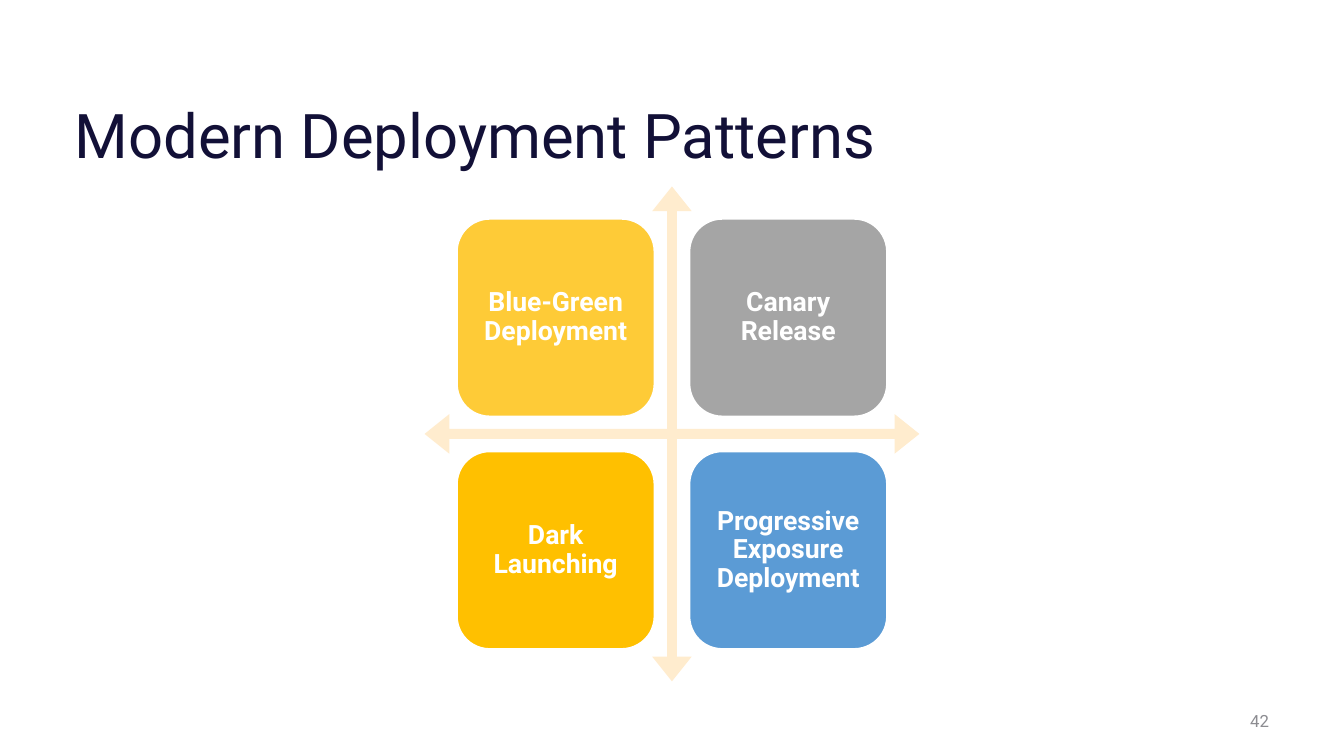
from pptx import Presentation
from pptx import util as u
from pptx.dml.color import RGBColor
from pptx.enum import shapes, text

COLORS = {
    "title": "121037", "number": "8C8C91", "arrows": "FFECCE", "white": "FFFFFF",
    "amber": "FECB37", "grey": "A5A5A5", "gold": "FFC000", "blue": "5B9BD5",
}
PATTERNS = [
    ("Blue-Green Deployment", "amber"), ("Canary Release", "grey"),
    ("Dark Launching", "gold"), ("Progressive Exposure Deployment", "blue"),
]


def write(sp, content, size, color, bold=False, align=text.PP_ALIGN.LEFT,
          spacing=None, inset=None):
    """Write formatted, vertically centred text into a shape."""
    tf = sp.text_frame
    tf.word_wrap = True
    tf.vertical_anchor = text.MSO_ANCHOR.MIDDLE
    if inset is not None:
        tf.margin_left = tf.margin_right = tf.margin_top = tf.margin_bottom = u.Cm(inset)
    p = tf.paragraphs[0]
    p.alignment = align
    p.line_spacing = spacing
    r = p.add_run()
    r.text = content
    r.font.name = "Roboto"
    r.font.size = u.Pt(size)
    r.font.bold = bold
    r.font.color.rgb = RGBColor.from_string(COLORS[color])


def add_block(s, kind, box, fill, line=None):
    """Add a flat preset shape with a fill and an optional outline."""
    sp = s.shapes.add_shape(kind, *map(u.Cm, box))
    sp.shadow.inherit = False
    sp.fill.solid()
    sp.fill.fore_color.rgb = RGBColor.from_string(COLORS[fill])
    if line:
        sp.line.color.rgb = RGBColor.from_string(COLORS[line])
        sp.line.width = u.Pt(1.5)
    else:
        sp.line.fill.background()
    return sp


def add_title(s, box):
    """Place the slide title in its box."""
    sp = s.shapes.add_textbox(*map(u.Cm, box))
    write(sp, "Modern Deployment Patterns", 44, "title", spacing=0.9)


def add_number(s, box):
    """Place the slide number in its box."""
    sp = s.shapes.add_textbox(*map(u.Cm, box))
    write(sp, "42", 12, "number", align=text.PP_ALIGN.RIGHT)


def add_matrix(s, left, top, side):
    """Place the crossed arrows and the four pattern tiles in a square."""
    cross = add_block(s, shapes.MSO_SHAPE.QUAD_ARROW, (left, top, side, side), "arrows")
    for i, value in enumerate((0.02, 0.04, 0.05)):
        cross.adjustments[i] = value
    tile, margin, pitch = 0.4 * side, 0.065 * side, 0.47 * side
    for i, (label, color) in enumerate(PATTERNS):
        row, col = divmod(i, 2)
        box = (left + margin + col * pitch, top + margin + row * pitch, tile, tile)
        sp = add_block(s, shapes.MSO_SHAPE.ROUNDED_RECTANGLE, box, color, "white")
        write(sp, label, 19, "white", bold=True, align=text.PP_ALIGN.CENTER,
              spacing=0.9, inset=0.2)


def main():
    """Build and save the slide."""
    prs = Presentation()
    prs.slide_width, prs.slide_height = u.Cm(33.87), u.Cm(19.05)
    s = prs.slides.add_slide(prs.slide_layouts[6])
    add_title(s, (1.63, 2.29, 30.6, 2.41))
    add_number(s, (23.85, 17.65, 8.38, 1.02))
    add_matrix(s, 10.7, 4.7, 12.47)
    prs.save("out.pptx")


if __name__ == "__main__":
    main()
